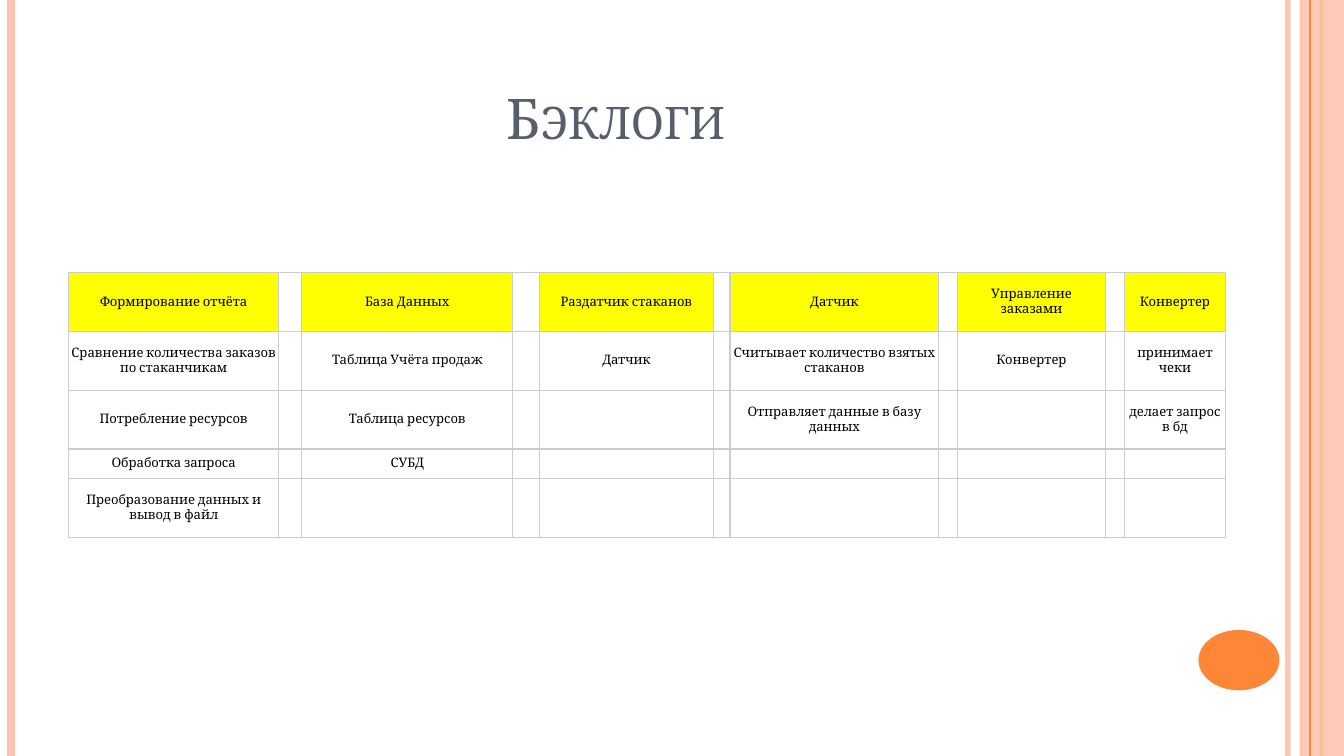
from lxml.etree import SubElement
from pptx import Presentation
from pptx.dml.color import RGBColor
from pptx.enum.shapes import MSO_CONNECTOR, MSO_SHAPE
from pptx.enum.text import MSO_ANCHOR, MSO_AUTO_SIZE, PP_ALIGN
from pptx.oxml.ns import qn
from pptx.util import Cm, Pt

PEACH = RGBColor(0xFE, 0xC3, 0xAE)
ORANGE = RGBColor(0xFE, 0x86, 0x37)
SLATE = RGBColor(0x57, 0x5F, 0x6D)
YELLOW = RGBColor(0xFF, 0xFF, 0x00)
GREY = RGBColor(0xCC, 0xCC, 0xCC)
BLACK = RGBColor(0, 0, 0)
FONT = "Cambria"

PAGE_WIDTH, PAGE_HEIGHT = 25.4, 14.28

BACKLOGS = {
    "Формирование отчёта": [
        "Сравнение количества заказов по стаканчикам",
        "Потребление ресурсов",
        "Обработка запроса",
        "Преобразование данных и вывод в файл",
    ],
    "База Данных": ["Таблица Учёта продаж", "Таблица ресурсов", "СУБД"],
    "Раздатчик стаканов": ["Датчик"],
    "Датчик": ["Считывает количество взятых стаканов", "Отправляет данные в базу данных"],
    "Управление заказами": ["Конвертер"],
    "Конвертер": ["принимает чеки", "делает запрос в бд"],
}
COLUMN_WIDTHS = [3.97, 0.44, 3.99, 0.51, 3.28, 0.32, 3.95, 0.36, 2.79, 0.36, 1.92]
ROW_HEIGHTS = [1.11, 1.11, 1.11, 0.56, 1.11]


def set_alpha(fill, percent):
    """Make a solid fill partly transparent."""
    color = fill._xPr.find(qn("a:solidFill"))[0]
    SubElement(color, qn("a:alpha"), val=str(percent * 1000))


def add_stripe(page, x, top, height, color, width, opacity=100):
    """Draw one vertical line down the page."""
    stripe = page.shapes.add_connector(
        MSO_CONNECTOR.STRAIGHT, Cm(x), Cm(top), Cm(x), Cm(top + height))
    stripe.line.color.rgb = color
    stripe.line.width = Pt(width)
    if opacity < 100:
        set_alpha(stripe.line.fill, opacity)
    SubElement(stripe._element.spPr, qn("a:effectLst"))


def add_block(page, kind, left, top, width, height, color):
    """Draw a plain filled shape without an outline."""
    block = page.shapes.add_shape(kind, Cm(left), Cm(top), Cm(width), Cm(height))
    block.shadow.inherit = False
    block.fill.solid()
    block.fill.fore_color.rgb = color
    block.line.fill.background()
    return block


def add_decoration(page, left, top, width, height):
    """Place the side stripes, the right band and the ellipse."""
    right = left + width
    add_stripe(page, right - 1.06, top, height, PEACH, 3, 93)
    add_stripe(page, left + 0.21, top, height, PEACH, 4.5)
    add_stripe(page, right - 0.42, top, height, ORANGE, 1.5)
    band = add_block(page, MSO_SHAPE.RECTANGLE, right - 0.84, top, 0.84, height, PEACH)
    set_alpha(band.fill, 87)
    add_stripe(page, right - 0.64, top, height, ORANGE, 0.75)
    add_block(page, MSO_SHAPE.OVAL, right - 2.75, top + 11.9, 1.53, 1.14, ORANGE)


def add_title(page, left, top, width, height):
    """Place and format the title in small capitals."""
    title = page.shapes.title
    title.left, title.top, title.width, title.height = map(Cm, (left, top, width, height))
    frame = title.text_frame
    frame.auto_size = MSO_AUTO_SIZE.NONE
    frame.vertical_anchor = MSO_ANCHOR.BOTTOM
    frame.text = "Бэклоги"
    paragraph = frame.paragraphs[0]
    paragraph.alignment = PP_ALIGN.CENTER
    paragraph.font.size = Pt(30)
    paragraph.font.name = FONT
    paragraph.font.color.rgb = SLATE
    paragraph.font._element.set("cap", "small")


def format_cell(cell, text, filled):
    """Write one table cell with its borders, fill and font."""
    cell.text = text
    cell.vertical_anchor = MSO_ANCHOR.MIDDLE
    cell.margin_left = cell.margin_right = Cm(0.03)
    cell.margin_top = cell.margin_bottom = 0
    properties = cell._tc.get_or_add_tcPr()
    for side in ("a:lnL", "a:lnR", "a:lnT", "a:lnB"):
        border = SubElement(properties, qn(side), w=str(Pt(0.75)))
        color = SubElement(border, qn("a:solidFill"))
        SubElement(color, qn("a:srgbClr"), val=str(GREY))
    if filled:
        cell.fill.solid()
        cell.fill.fore_color.rgb = YELLOW
    else:
        cell.fill.background()
    paragraph = cell.text_frame.paragraphs[0]
    paragraph.alignment = PP_ALIGN.CENTER
    paragraph.font.size = Pt(7)
    paragraph.font.name = FONT
    paragraph.font.color.rgb = BLACK


def add_backlog_table(page, left, top, width, height):
    """Place the backlog columns, with a narrow empty column between them."""
    table = page.shapes.add_table(
        len(ROW_HEIGHTS), len(COLUMN_WIDTHS), Cm(left), Cm(top), Cm(width), Cm(height)).table
    table.first_row = table.horz_banding = False
    for column, share in zip(table.columns, COLUMN_WIDTHS):
        column.width = Cm(width * share / sum(COLUMN_WIDTHS))
    for row, share in zip(table.rows, ROW_HEIGHTS):
        row.height = Cm(height * share / sum(ROW_HEIGHTS))
    texts = {}
    for index, (heading, tasks) in enumerate(BACKLOGS.items()):
        for row_index, text in enumerate([heading, *tasks]):
            texts[row_index, 2 * index] = text
    for row_index, row in enumerate(table.rows):
        for column_index, cell in enumerate(row.cells):
            text = texts.get((row_index, column_index), "")
            format_cell(cell, text, row_index == 0 and text != "")


def main():
    """Build the slide and save it."""
    deck = Presentation()
    deck.slide_width, deck.slide_height = Cm(PAGE_WIDTH), Cm(PAGE_HEIGHT)
    page = deck.slides.add_slide(deck.slide_layouts[5])
    add_decoration(page, 0, 0, PAGE_WIDTH, PAGE_HEIGHT)
    add_title(page, 1.27, 0.58, 20.75, 2.39)
    add_backlog_table(page, 1.3, 5.15, 21.87, 5)
    deck.save("out.pptx")


if __name__ == "__main__":
    main()
